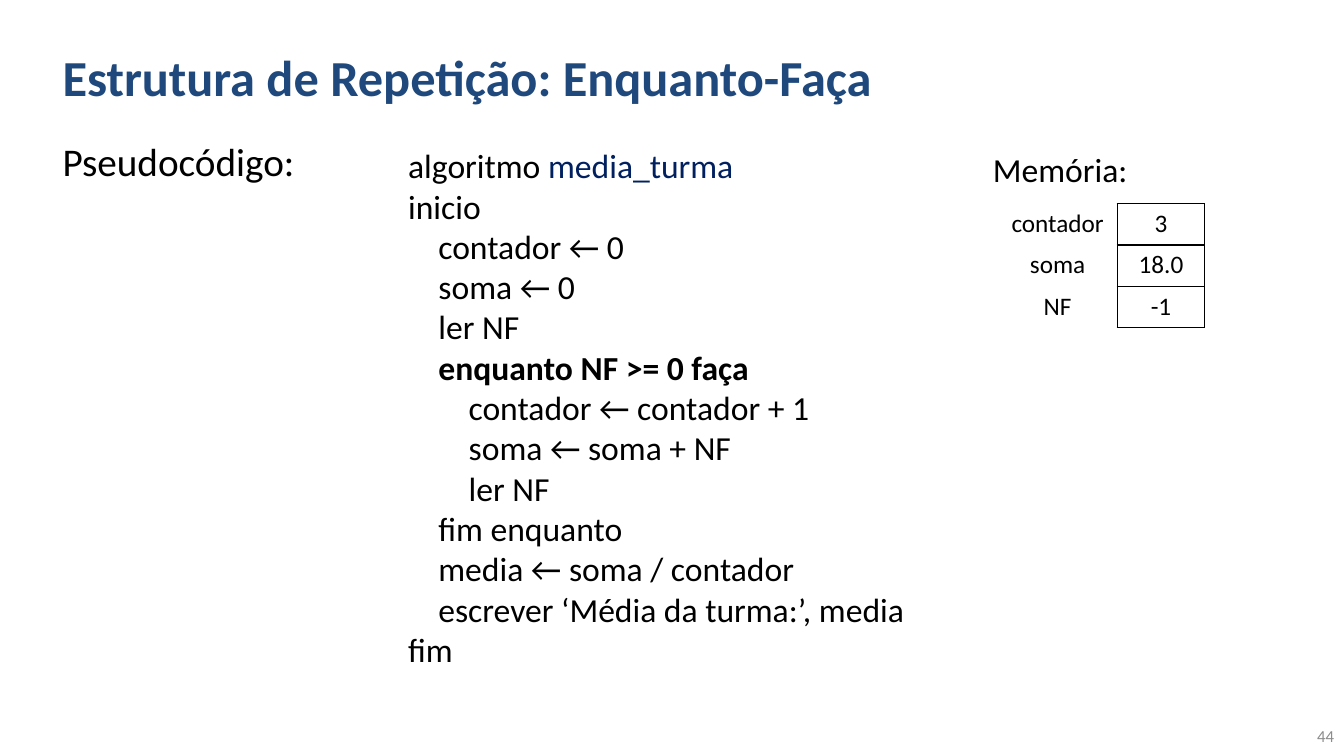
import pptx
import pptx.util
import pptx.dml.color
import pptx.enum.text
import pptx.oxml.ns
import lxml.etree

Inches = pptx.util.Inches
Pt = pptx.util.Pt
ALIGN = pptx.enum.text.PP_ALIGN
ANCHOR = pptx.enum.text.MSO_ANCHOR
qn = pptx.oxml.ns.qn

COLORS = {"title": "1F497D", "text": "000000", "name": "002060", "number": "8C8C8C"}
FONT = "Calibri"
INDENT = Inches(0.3)
PLAIN_TABLE = "{2D5ABB26-0587-4C30-8999-92F81FD0307C}"

CODE = [
    (0, "algoritmo "),
    (0, "inicio"),
    (1, "contador ← 0"),
    (1, "soma ← 0"),
    (1, "ler NF"),
    (1, "enquanto NF >= 0 faça"),
    (2, "contador ← contador + 1"),
    (2, "soma ← soma + NF"),
    (2, "ler NF"),
    (1, "fim enquanto"),
    (1, "media ← soma / contador"),
    (1, "escrever ‘Média da turma:’, media"),
    (0, "fim"),
]
MEMORY = [("contador", "3"), ("soma", "18.0"), ("NF", "-1"), ("", "")]


def format_run(r, size, color="text", bold=False):
    r.font.name = FONT
    r.font.size = Pt(size)
    r.font.bold = bold
    r.font.color.rgb = pptx.dml.color.RGBColor.from_string(COLORS[color])


def format_paragraph(p, size, color="text", bold=False, align=ALIGN.LEFT):
    p.alignment = align
    for r in p.runs:
        format_run(r, size, color, bold)


def place(sp, left, top, width, height):
    sp.left, sp.top = Inches(left), Inches(top)
    sp.width, sp.height = Inches(width), Inches(height)


def fill_placeholder(sp, box, text, size, color="text", bold=False):
    place(sp, *box)
    sp.text_frame.text = text
    format_paragraph(sp.text_frame.paragraphs[0], size, color, bold)


def remove_bullet(p):
    pPr = p._p.get_or_add_pPr()
    pPr.set("marL", "0")
    pPr.set("indent", "0")
    lxml.etree.SubElement(pPr, qn("a:buNone"))


def add_text(s, box, text, size, color="text", align=ALIGN.LEFT):
    sp = s.shapes.add_textbox(*map(Inches, box))
    tf = sp.text_frame
    tf.word_wrap = False
    tf.text = text
    for p in tf.paragraphs:
        format_paragraph(p, size, color, align=align)
    return tf


def add_code(s, box):
    tf = add_text(s, box, "\n".join(line for _, line in CODE), 24)
    tf.auto_size = pptx.enum.text.MSO_AUTO_SIZE.SHAPE_TO_FIT_TEXT
    for p, (level, line) in zip(tf.paragraphs, CODE):
        p._p.get_or_add_pPr().set("marL", str(level * INDENT))
        if line.startswith("enquanto"):
            p.runs[0].font.bold = True
    r = tf.paragraphs[0].add_run()
    r.text = "media_turma"
    format_run(r, 24, "name")


def add_borders(cell):
    tcPr = cell._tc.get_or_add_tcPr()
    for side in ("a:lnL", "a:lnR", "a:lnT", "a:lnB"):
        ln = lxml.etree.SubElement(tcPr, qn(side), w=str(Pt(1)))
        fill = lxml.etree.SubElement(ln, qn("a:solidFill"))
        lxml.etree.SubElement(fill, qn("a:srgbClr"), val=COLORS["text"])


def add_memory_table(s, left, top, widths, row_height):
    height = row_height * len(MEMORY)
    frame = s.shapes.add_table(len(MEMORY), len(widths), Inches(left), Inches(top),
                               Inches(sum(widths)), Inches(height))
    table = frame.table
    table.first_row = table.horz_banding = False
    table._tbl.tblPr.find(qn("a:tableStyleId")).text = PLAIN_TABLE
    for col, width in zip(table.columns, widths):
        col.width = Inches(width)
    for i, values in enumerate(MEMORY):
        table.rows[i].height = Inches(row_height)
        for j, value in enumerate(values):
            cell = table.cell(i, j)
            cell.text = value
            format_paragraph(cell.text_frame.paragraphs[0], 18, align=ALIGN.CENTER)
            if j == 1 and value:
                add_borders(cell)
            cell.fill.background()


def main():
    prs = pptx.Presentation()
    prs.slide_width, prs.slide_height = Inches(13.33), Inches(7.5)
    s = prs.slides.add_slide(prs.slide_layouts[1])
    fill_placeholder(s.shapes.title, (0.52, 0.13, 10.58, 1.25),
                     "Estrutura de Repetição: Enquanto-Faça", 36, "title", True)
    body = s.placeholders[1]
    fill_placeholder(body, (0.52, 1.31, 2.92, 1.23), "Pseudocódigo:", 28)
    remove_bullet(body.text_frame.paragraphs[0])
    number = add_text(s, (11, 7.1, 2.33, 0.4), "44", 12, "number", ALIGN.RIGHT)
    number.word_wrap = True
    number.vertical_anchor = ANCHOR.MIDDLE
    add_code(s, (3.95, 1.39, 5.17, 5.35))
    add_text(s, (9.75, 1.43, 1.55, 0.5), "Memória:", 24)
    add_memory_table(s, 9.9, 2.02, (1.18, 0.87), 0.41)
    prs.save("out.pptx")


if __name__ == "__main__":
    main()
